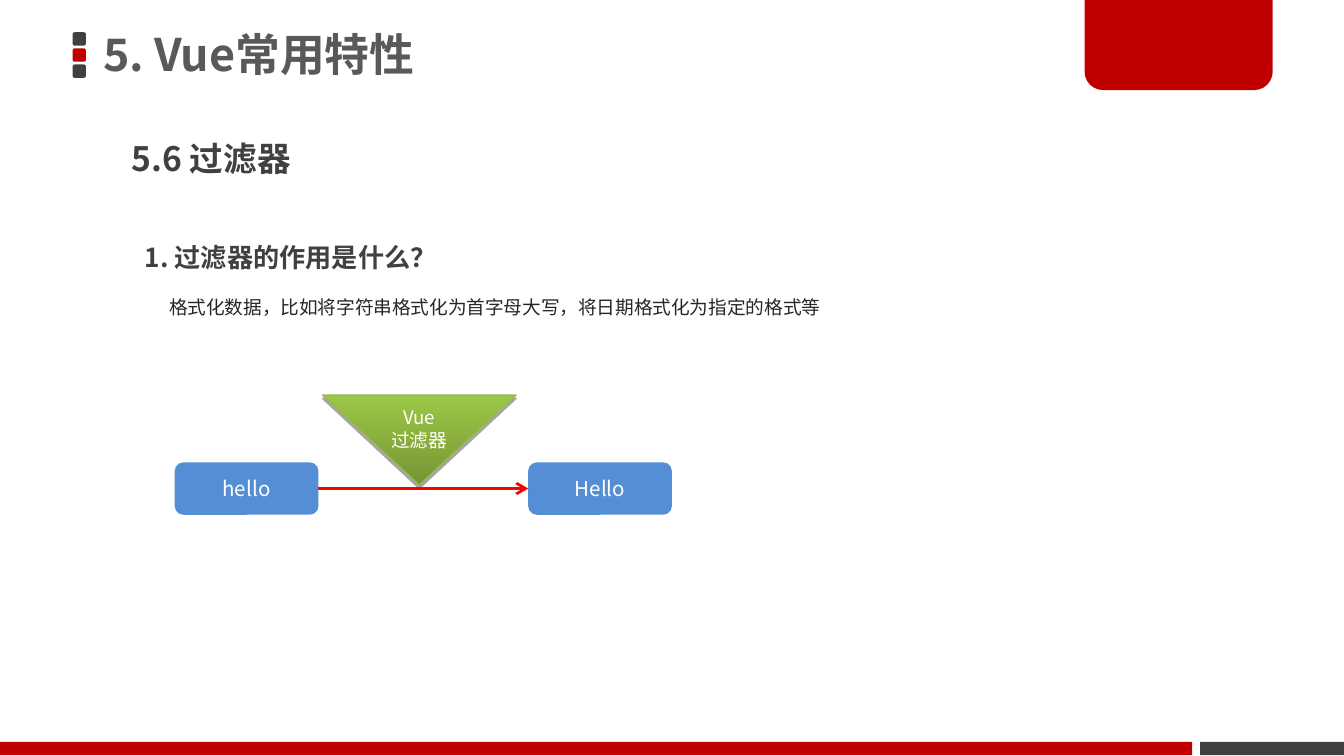
import pptx
import pptx.dml.color
import pptx.enum.shapes
import pptx.enum.text
import pptx.oxml
import pptx.oxml.ns
import pptx.util
from lxml import etree

Inches = pptx.util.Inches
Pt = pptx.util.Pt
RGBColor = pptx.dml.color.RGBColor
Shape = pptx.enum.shapes.MSO_SHAPE
Align = pptx.enum.text.PP_ALIGN
qn = pptx.oxml.ns.qn

RED = RGBColor(0xC0, 0x00, 0x00)
ARROW_RED = RGBColor(0xFF, 0x00, 0x00)
DARK = RGBColor(0x40, 0x40, 0x40)
TITLE_GRAY = RGBColor(0x59, 0x59, 0x59)
BODY_GRAY = RGBColor(0x26, 0x26, 0x26)
BLUE = RGBColor(0x55, 0x8E, 0xD5)
WHITE = RGBColor(0xFF, 0xFF, 0xFF)
GREEN_DARK = RGBColor(0x76, 0x95, 0x35)
GREEN_LIGHT = RGBColor(0x9C, 0xC7, 0x46)
GREEN_LINE = RGBColor(0x98, 0xB9, 0x54)
FONT = "Noto Sans CJK SC"


def write_text(paragraph, text, size, color, bold=False, align=Align.LEFT,
               spacing=1.0, before=0, indent=0):
    paragraph.alignment = align
    paragraph.line_spacing = spacing
    paragraph.space_before = Pt(before)
    properties = paragraph._p.get_or_add_pPr()
    properties.set("marL", str(Inches(indent)))
    properties.set("indent", "0")
    run = paragraph.add_run()
    run.text = text
    run.font.size = Pt(size)
    run.font.bold = bold
    run.font.color.rgb = color
    run.font.name = FONT
    etree.SubElement(run._r.get_or_add_rPr(), qn("a:ea"), typeface=FONT)


class SlideBuilder:
    def __init__(self, slide):
        self.slide = slide

    def frame(self, shape, insets=(0.1, 0.05, 0.1, 0.05), middle=True):
        """Set wrapping, anchor and insets, and return the text frame."""
        frame = shape.text_frame
        frame.word_wrap = True
        frame.auto_size = pptx.enum.text.MSO_AUTO_SIZE.NONE
        anchors = pptx.enum.text.MSO_ANCHOR
        frame.vertical_anchor = anchors.MIDDLE if middle else anchors.TOP
        (frame.margin_left, frame.margin_top,
         frame.margin_right, frame.margin_bottom) = map(Inches, insets)
        return frame

    def title(self, text, left, top, width, height):
        title = self.slide.shapes.title
        title.left, title.top = Inches(left), Inches(top)
        title.width, title.height = Inches(width), Inches(height)
        frame = self.frame(title, (0.08, 0.04, 0.08, 0.04))
        write_text(frame.paragraphs[0], text, 24, TITLE_GRAY, bold=True, spacing=0.9)

    def text_box(self, left, top, width, height, **frame_format):
        box = self.slide.shapes.add_textbox(
            Inches(left), Inches(top), Inches(width), Inches(height))
        return self.frame(box, **frame_format)

    def shape(self, kind, left, top, width, height, color=None):
        shape = self.slide.shapes.add_shape(
            kind, Inches(left), Inches(top), Inches(width), Inches(height))
        shape.shadow.inherit = False
        shape.line.fill.background()
        if color is not None:
            shape.fill.solid()
            shape.fill.fore_color.rgb = color
        return shape

    def value_box(self, text, left, top, width, height):
        box = self.shape(Shape.ROUNDED_RECTANGLE, left, top, width, height, BLUE)
        write_text(self.frame(box).paragraphs[0], text, 11, WHITE, align=Align.CENTER)

    def filter_funnel(self, lines, left, top, width, height):
        funnel = self.shape(Shape.FLOWCHART_MERGE, left, top, width, height)
        funnel.fill.gradient()
        funnel.fill.gradient_angle = 90
        for stop, color in zip(funnel.fill.gradient_stops, (GREEN_DARK, GREEN_LIGHT)):
            stop.color.rgb = color
        funnel.line.color.rgb = GREEN_LINE
        funnel.line.width = Pt(0.75)
        effects = funnel._element.spPr.find(qn("a:effectLst"))
        shadow = etree.SubElement(effects, qn("a:outerShdw"), blurRad="0",
                                  dist=str(Pt(1.8)), dir="5400000", rotWithShape="0")
        black = etree.SubElement(shadow, qn("a:srgbClr"), val="000000")
        etree.SubElement(black, qn("a:alpha"), val="35000")
        frame = self.frame(funnel, (0.1, 0.21, 0.1, 0.05))
        for index, line in enumerate(lines):
            paragraph = frame.add_paragraph() if index else frame.paragraphs[0]
            write_text(paragraph, line, 10, WHITE, align=Align.CENTER)

    def arrow(self, start, end, y):
        arrow = self.slide.shapes.add_connector(
            pptx.enum.shapes.MSO_CONNECTOR.STRAIGHT,
            Inches(start), Inches(y), Inches(end), Inches(y))
        arrow.line.color.rgb = ARROW_RED
        arrow.line.width = Pt(1.5)
        etree.SubElement(arrow.line._get_or_add_ln(), qn("a:tailEnd"), type="arrow")
        etree.SubElement(arrow._element.spPr, qn("a:effectLst"))


def main():
    presentation = pptx.Presentation()
    presentation.slide_width = Inches(10)
    presentation.slide_height = Inches(10) * 9 // 16
    builder = SlideBuilder(presentation.slides.add_slide(presentation.slide_layouts[5]))

    for index, color in enumerate((DARK, RED, DARK)):
        builder.shape(Shape.ROUNDED_RECTANGLE, 0.54, 0.24 + 0.12 * index, 0.1, 0.1, color)
    builder.shape(Shape.RECTANGLE, 8.93, 5.52, 1.07, 0.1, DARK)
    builder.shape(Shape.RECTANGLE, 0, 5.52, 8.87, 0.1, RED)
    corner_tab = builder.shape(Shape.ROUND_2_SAME_RECTANGLE, 8.07, -0.02, 1.4, 0.69, RED)
    corner_tab.adjustments[0] = 0
    corner_tab.adjustments[1] = 0.2

    builder.title("5. Vue常用特性", 0.69, -0.02, 5.89, 0.89)
    heading = builder.text_box(0.9, 0.84, 3.31, 0.71, insets=(0.08, 0.04, 0.08, 0.04))
    write_text(heading.paragraphs[0], "5.6 过滤器", 18, DARK, bold=True, spacing=0.9)

    body = builder.text_box(0.98, 1.63, 6.06, 0.8, middle=False)
    write_text(body.paragraphs[0], "1. 过滤器的作用是什么？", 14, DARK,
               bold=True, spacing=1.5)
    write_text(body.add_paragraph(),
               "格式化数据，比如将字符串格式化为首字母大写，将日期格式化为指定的格式等",
               10, BODY_GRAY, spacing=1.5, before=6.5, indent=0.18)

    box_top, box_width, box_height = 3.44, 1.07, 0.39
    input_left, output_left = 1.3, 3.93
    builder.value_box("hello", input_left, box_top, box_width, box_height)
    builder.filter_funnel(("Vue", "过滤器"), 2.4, 2.94, 1.44, 0.67)
    builder.value_box("Hello", output_left, box_top, box_width, box_height)
    builder.arrow(input_left + box_width, output_left, box_top + box_height / 2)

    presentation.save("out.pptx")


if __name__ == "__main__":
    main()
